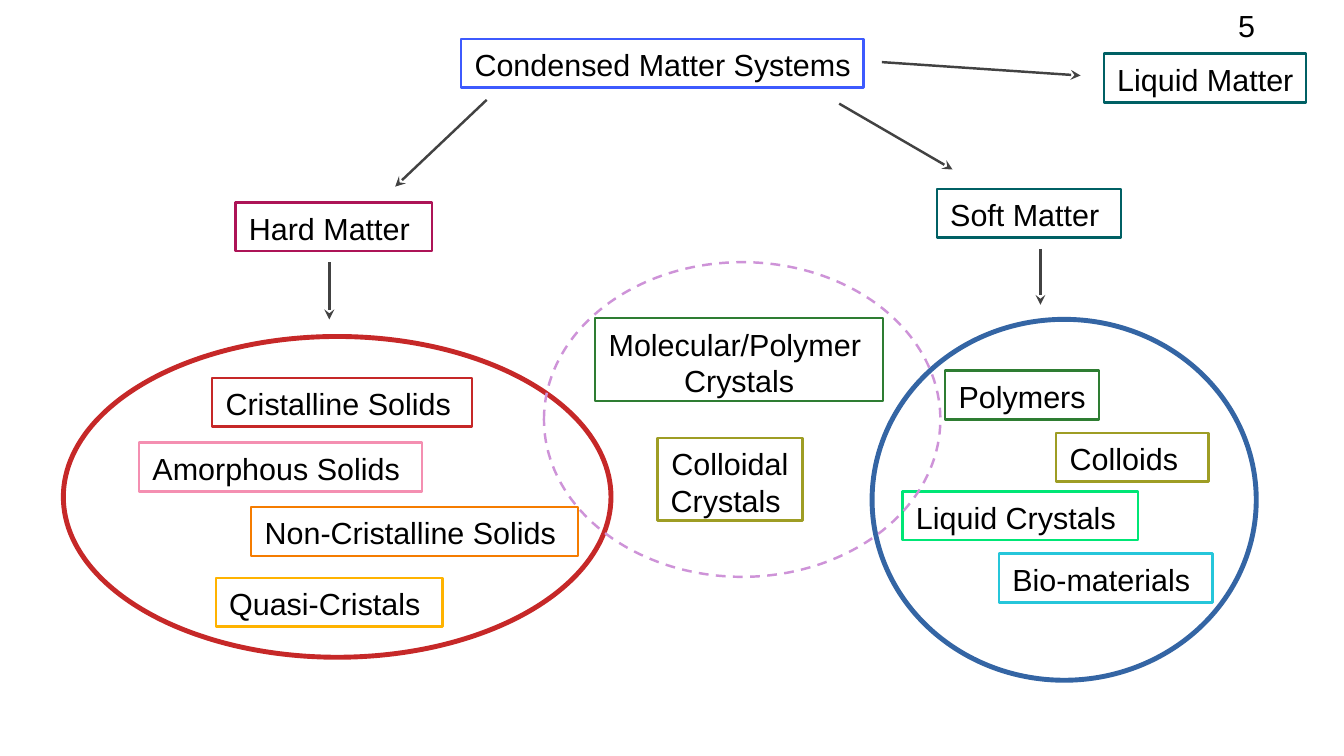
import dataclasses

import lxml.etree
import pptx
import pptx.dml.color
import pptx.enum.dml
import pptx.enum.shapes
import pptx.enum.text
import pptx.oxml.ns
import pptx.util

Pt = pptx.util.Pt
ALIGN = pptx.enum.text.PP_ALIGN
SHAPES = pptx.enum.shapes.MSO_SHAPE


@dataclasses.dataclass(frozen=True)
class Theme:
    font: str = "Arial"
    size: float = 18
    thin: float = 1.45
    thick: float = 2.89
    text: str = "000000"
    arrow: str = "424242"
    blue: str = "3D5AFE"
    berry: str = "AD1457"
    teal: str = "006064"
    red: str = "C62828"
    pink: str = "F48FB1"
    orange: str = "F57C00"
    amber: str = "FFB300"
    green: str = "2E7D32"
    olive: str = "9E9D24"
    mint: str = "00E676"
    cyan: str = "26C6DA"
    navy: str = "3465A4"
    lilac: str = "CE93D8"


THEME = Theme()
LINE_HEIGHT = 20.2
BOX_PADDING = 8.6

# Left, top, width, outline colour, lines of text
TITLE = (272.2, 23, 237.6, THEME.blue, ["Condensed Matter Systems"])
BOXES = [
    (139, 119.5, 115.9, THEME.berry, ["Hard Matter"]),
    (553, 111.6, 108.7, THEME.teal, ["Soft Matter"]),
    (651.6, 31.7, 119.5, THEME.teal, ["Liquid Matter"]),
    (125.3, 223.2, 153.4, THEME.red, ["Cristalline Solids"]),
    (82.1, 261.4, 167, THEME.pink, ["Amorphous Solids"]),
    (148.3, 299.5, 193, THEME.orange, ["Non-Cristalline Solids"]),
    (127.4, 341.3, 133.9, THEME.amber, ["Quasi-Cristals"]),
    (558, 218.9, 90.7, THEME.green, ["Polymers"]),
    (623.5, 255.6, 90, THEME.olive, ["Colloids"]),
    (532.8, 290.2, 139, THEME.mint, ["Liquid Crystals"]),
    (589.7, 326.9, 126, THEME.cyan, ["Bio-materials"]),
    (351.4, 187.9, 169.9, THEME.green, ["Molecular/Polymer ", "Crystals"]),
    (388.1, 258.5, 85.7, THEME.olive, ["Colloidal", "Crystals "]),
]

# Start x, start y, end x, end y
ARROWS = [
    (287.3, 59, 233.3, 110.2),
    (495.4, 61.2, 562.3, 100.1),
    (520.6, 36.7, 637.9, 44.6),
    (194.4, 154.8, 194.4, 188.6),
    (614.2, 146.9, 614.2, 180),
]

# Left, top, width, height, colour, line width, dash
GROUPS = [
    (37.4, 198.7, 323.3, 189.4, THEME.red, THEME.thick, None),
    (514.8, 188.6, 226.8, 213.1, THEME.navy, THEME.thick, None),
    (321.1, 154.8, 234, 185.8, THEME.lilac, THEME.thin,
     pptx.enum.dml.MSO_LINE.DASH),
]


def apply(target, values):
    for name, value in values.items():
        setattr(target, name, value)


def rgb(colour):
    return pptx.dml.color.RGBColor.from_string(colour)


def set_outline(shape, colour, width, dash=None):
    shape.fill.background()
    shape.line.color.rgb = rgb(colour)
    apply(shape.line, {"width": Pt(width), "dash_style": dash})


def write_text(shape, lines):
    centred = len(lines) > 1
    frame = shape.text_frame
    apply(frame, {
        "auto_size": pptx.enum.text.MSO_AUTO_SIZE.NONE,
        "word_wrap": not centred,
        "vertical_anchor": pptx.enum.text.MSO_ANCHOR.TOP,
        "margin_left": Pt(7.9),
        "margin_right": Pt(7.9 if centred else 0),
        "margin_top": Pt(4.3),
        "margin_bottom": Pt(4.3),
    })
    for index, line in enumerate(lines):
        para = frame.add_paragraph() if index else frame.paragraphs[0]
        para.alignment = ALIGN.CENTER if centred else ALIGN.LEFT
        span = para.add_run()
        span.text = line
        apply(span.font, {"name": THEME.font, "size": Pt(THEME.size)})
        span.font.color.rgb = rgb(THEME.text)


def box_height(lines):
    return BOX_PADDING + LINE_HEIGHT * len(lines)


def format_title(page):
    left, top, width, colour, lines = TITLE
    title = page.shapes.title
    apply(title, {"left": Pt(left), "top": Pt(top), "width": Pt(width),
                  "height": Pt(box_height(lines))})
    set_outline(title, colour, THEME.thin)
    write_text(title, lines)


def add_outlined(page, kind, left, top, width, height, colour, weight, dash=None):
    shape = page.shapes.add_shape(kind, Pt(left), Pt(top), Pt(width), Pt(height))
    shape.shadow.inherit = False
    set_outline(shape, colour, weight, dash)
    return shape


def add_box(page, left, top, width, colour, lines):
    box = add_outlined(page, SHAPES.RECTANGLE, left, top, width,
                       box_height(lines), colour, THEME.thin)
    write_text(box, lines)


def add_arrow(page, *ends):
    arrow = page.shapes.add_connector(
        pptx.enum.shapes.MSO_CONNECTOR.STRAIGHT, *map(Pt, ends))
    arrow.line.color.rgb = rgb(THEME.arrow)
    arrow.line.width = Pt(THEME.thin)
    qn = pptx.oxml.ns.qn
    line = arrow.line._get_or_add_ln()
    lxml.etree.SubElement(line, qn("a:tailEnd"), type="stealth")
    lxml.etree.SubElement(line.getparent(), qn("a:effectLst"))


def add_page_number(page, number):
    box = page.shapes.add_textbox(Pt(723), Pt(0), Pt(60), Pt(33.8))
    write_text(box, [number])


def main():
    deck = pptx.Presentation()
    apply(deck, {"slide_width": Pt(793.4), "slide_height": Pt(446.4)})
    page = deck.slides.add_slide(deck.slide_layouts.get_by_name("Title Only"))

    # Root of the tree
    format_title(page)
    # Classes of matter and their examples
    for box in BOXES:
        add_box(page, *box)
    # Links between classes
    for arrow in ARROWS:
        add_arrow(page, *arrow)
    # Overlapping families
    for group in GROUPS:
        add_outlined(page, SHAPES.OVAL, *group)
    add_page_number(page, "5")

    deck.save("out.pptx")


if __name__ == "__main__":
    main()
